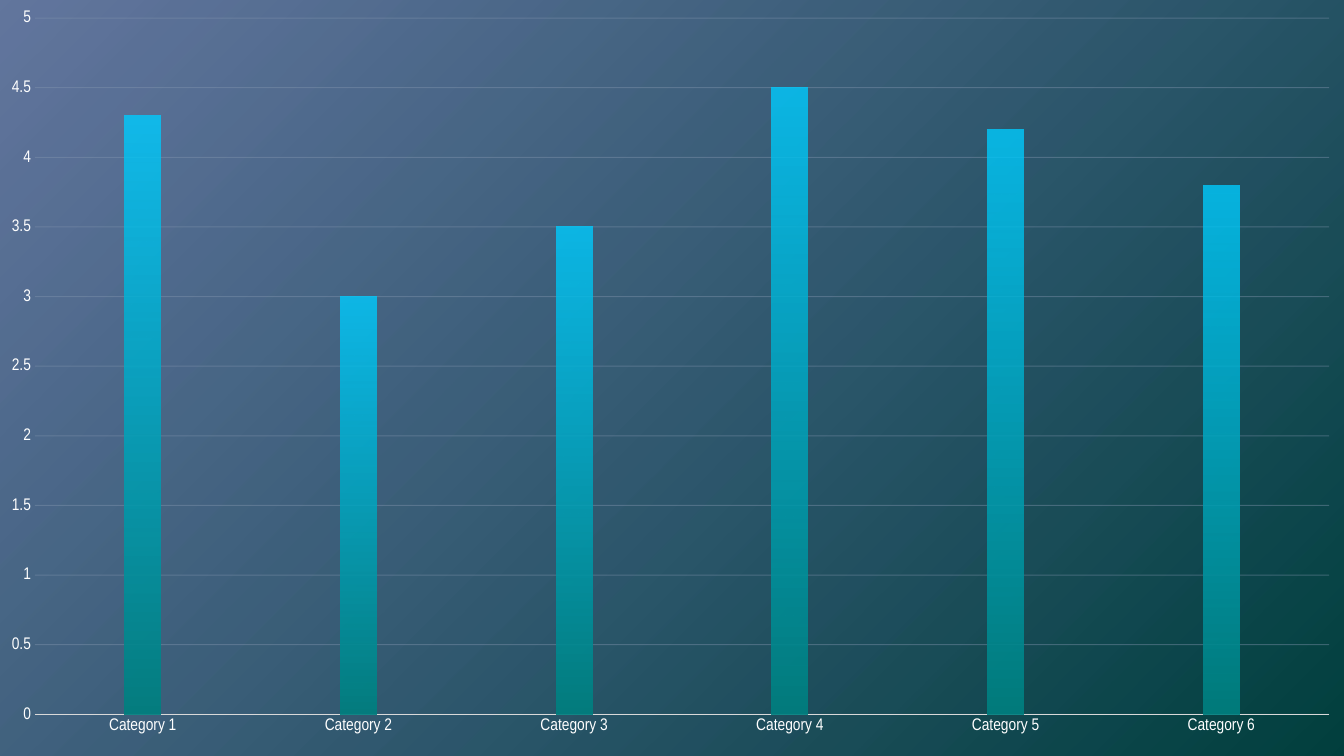
from lxml.etree import SubElement
from pptx import Presentation
from pptx.chart.data import CategoryChartData
from pptx.dml.color import RGBColor
from pptx.enum.chart import XL_CHART_TYPE as Chart, XL_TICK_MARK as Tick
from pptx.enum.dml import MSO_LINE_DASH_STYLE as Dash
from pptx.enum.shapes import MSO_SHAPE as Shape
from pptx.oxml.ns import qn
from pptx.util import Inches, Pt

SERIES = "Series 1"
VALUES = [4.3, 3, 3.5, 4.5, 4.2, 3.8]
CATS = [f"Category {i}" for i in range(1, len(VALUES) + 1)]
FONT = "Arial Narrow"
COLORS = {
    "navy": "1C3972", "forest": "003F3E",
    "sky": "00CCFF", "teal": "008080",
    "text": "FFFFFF", "axis": "D9D9D9", "grid": "8497B0",
}
# Colour name and opacity in percent, from start to end
BACK = [("navy", 69), ("forest", 100)]
BARS = [("sky", 80), ("teal", 92)]
# Inner plot area as shares of the slide
PLOT = {"x": 0.026, "y": 0.024, "w": 0.963, "h": 0.921}


def rgb(name):
    return RGBColor.from_string(COLORS[name])


def set_alpha(color, share):
    SubElement(color, qn("a:alpha")).set("val", str(share * 1000))


def blend(fill, root, stops, angle):
    """Give fill a two-stop gradient; angle runs clockwise in degrees."""
    fill.gradient()
    fill.gradient_angle = 360 - angle
    for stop, place, (name, _) in zip(fill.gradient_stops, (0, 1), stops):
        stop.position = place
        stop.color.rgb = rgb(name)
    grad = next(root.iter(qn("a:gradFill")))
    for color, (_, share) in zip(grad.iter(qn("a:srgbClr")), stops):
        if share < 100:
            set_alpha(color, share)


def set_font(font, size):
    font.name, font.size, font.bold = FONT, Pt(size), False
    font.color.rgb = rgb("text")


def set_line(line, name):
    line.color.rgb = rgb(name)
    line.width = Pt(0.75)


def place_plot(chart):
    area = next(chart._chartSpace.iter(qn("c:plotArea")))
    for old in area.findall(qn("c:layout")):
        area.remove(old)
    layout = SubElement(area, qn("c:layout"))
    area.insert(0, layout)
    manual = SubElement(layout, qn("c:manualLayout"))
    rules = {"layoutTarget": "inner", "xMode": "edge", "yMode": "edge", **PLOT}
    for tag, val in rules.items():
        SubElement(manual, qn(f"c:{tag}")).set("val", str(val))


def add_back(slide, size):
    back = slide.shapes.add_shape(Shape.RECTANGLE, 0, 0, *size)
    back.shadow.inherit = False
    back.line.fill.background()
    blend(back.fill, back._element, BACK, 45)


def add_bars(slide, size):
    data = CategoryChartData()
    data.categories = CATS
    data.add_series(SERIES, VALUES)
    frame = slide.shapes.add_chart(Chart.COLUMN_CLUSTERED, 0, 0, *size, data)
    chart = frame.chart
    chart.has_title = chart.has_legend = False
    set_font(chart.font, 10)
    place_plot(chart)

    plot = chart.plots[0]
    plot.gap_width, plot.overlap, plot.vary_by_categories = 500, -9, False
    bars = plot.series[0]
    blend(bars.format.fill, bars._element, BARS, 90)

    cat, val = chart.category_axis, chart.value_axis
    for axis in (cat, val):
        axis.major_tick_mark = axis.minor_tick_mark = Tick.NONE
        set_font(axis.tick_labels.font, 12)
    set_line(cat.format.line, "axis")
    val.format.line.fill.background()
    val.minimum_scale, val.maximum_scale, val.major_unit = 0, 5, 0.5
    val.tick_labels.number_format = "General"
    val.tick_labels.number_format_is_linked = False
    val.has_major_gridlines = True
    grid = val.major_gridlines.format.line
    set_line(grid, "grid")
    grid.dash_style = Dash.SOLID
    lines = next(chart._chartSpace.iter(qn("c:majorGridlines")))
    set_alpha(next(lines.iter(qn("a:srgbClr"))), 42)


def main():
    deck = Presentation()
    size = Inches(13.33), Inches(7.5)
    deck.slide_width, deck.slide_height = size
    slide = deck.slides.add_slide(deck.slide_layouts[6])
    add_back(slide, size)
    add_bars(slide, size)
    deck.save("out.pptx")


if __name__ == "__main__":
    main()
